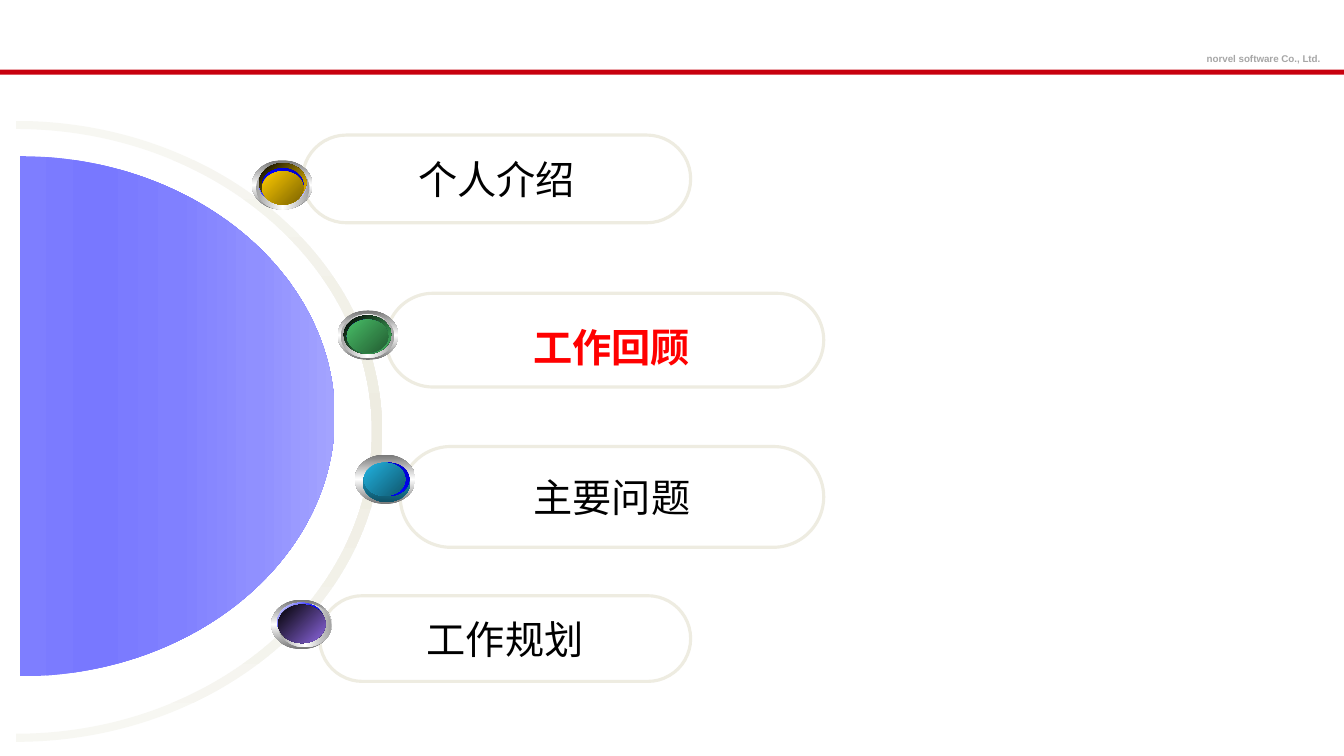
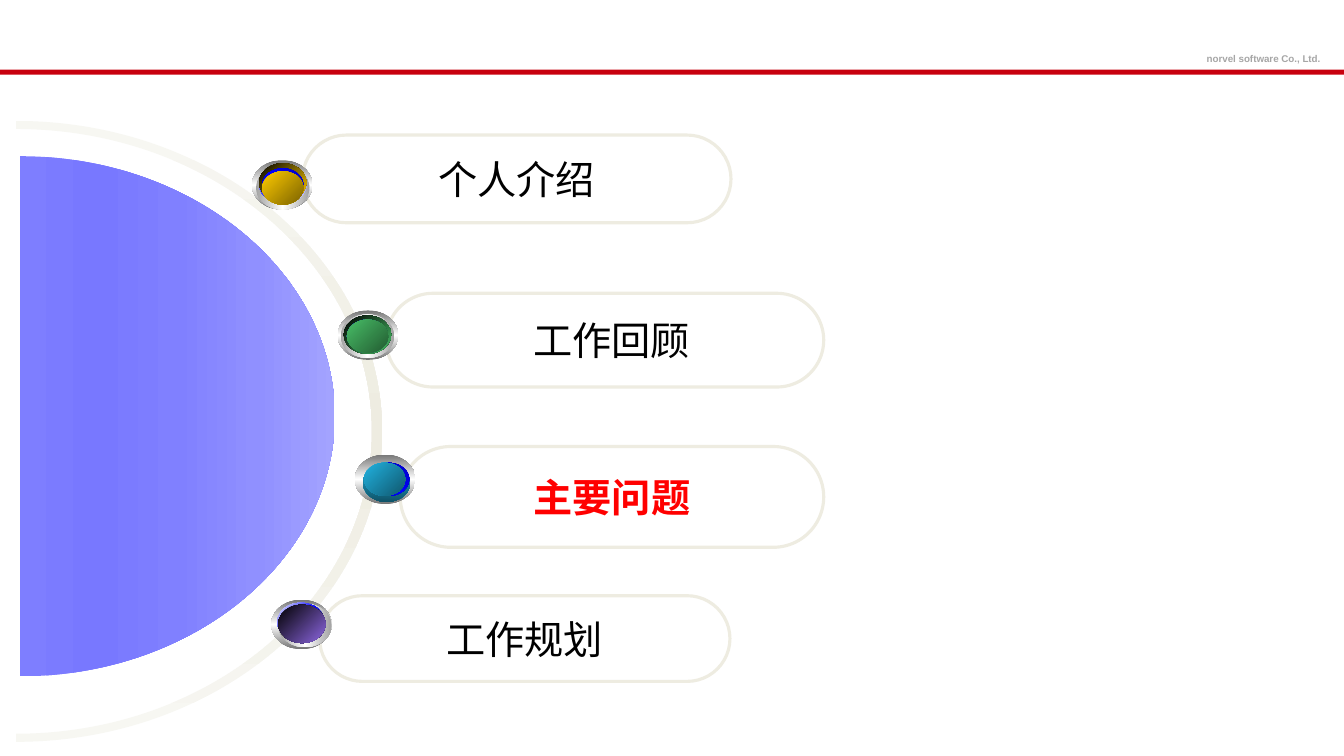
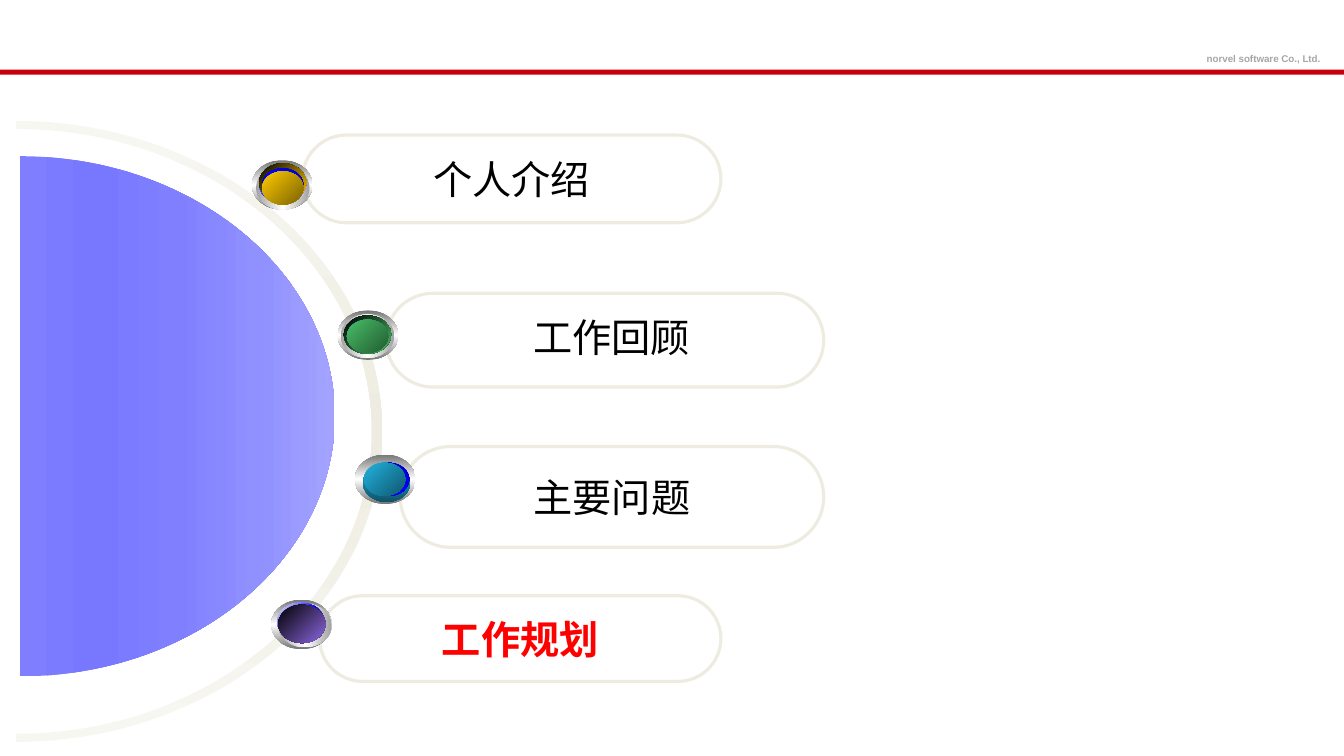
from lxml.etree import SubElement
from pptx import Presentation
from pptx.dml.color import RGBColor
from pptx.enum.shapes import MSO_SHAPE
from pptx.enum.text import MSO_ANCHOR, PP_ALIGN
from pptx.oxml.ns import qn
from pptx.util import Inches, Pt

RED, BLACK, HIGHLIGHT = "C8000E", "000000", "FF0000"
GREY, CREAM = "A6A6A6", "EEECE1"
TOPIC_FONT, FOOTER_FONT = "Noto Sans CJK SC", "Arial"
COMPANY = "norvel software Co., Ltd."
BEND = 0.55  # distance of curve handles, as a share of the radius

# Orb layer sizes
RIM_SIZE, BEVEL_SIZE = (0.6, 0.49), (0.53, 0.43)
BOWL_SIZE, LENS_SIZE = (0.47, 0.38), (0.41, 0.33)

# Orb layers: size, gradient colours, gradient angle
RIM = (RIM_SIZE, ["767676", "FFFFFF", "767676"], 90)
BEVEL = (BEVEL_SIZE, ["A2A2A2", "FFFFFF", "A2A2A2"], 0)
GLOW = (BOWL_SIZE, ["FFFFFF", "0000FF", "FFFFFF"], 45)
SHADE = (LENS_SIZE, ["0000C3", "0000FF", "0000C3"], 315)


def bowl(first, last, angle=45):
    return BOWL_SIZE, [first, last], angle


def lens(first, last):
    return LENS_SIZE, [first, last], 45


# Each orb is a list of (left, top, layer), from back to front
TOPICS = [
    {"text": "个人介绍", "pill": (3, 1.34, 0.87), "orb": [
        (2.5, 1.59, RIM), (2.54, 1.65, BEVEL), (2.57, 1.64, GLOW),
        (2.57, 1.62, bowl("000000", "FFCC00")), (2.6, 1.67, SHADE),
        (2.6, 1.7, lens("FFCC00", "7C6300"))]},
    {"text": "工作回顾", "pill": (3.83, 2.91, 0.93), "orb": [
        (3.35, 3.08, RIM), (3.38, 3.12, BEVEL),
        (3.41, 3.13, bowl("000000", "48BE67")), (3.44, 3.17, SHADE),
        (3.44, 3.17, lens("48BE67", "235C32"))]},
    {"text": "主要问题", "pill": (3.97, 4.43, 1), "orb": [
        (3.52, 4.51, RIM), (3.6, 4.6, bowl("21B3E1", "0F5368", 90)),
        (3.65, 4.59, SHADE), (3.61, 4.59, lens("21B3E1", "10576D"))]},
    {"text": "工作规划", "pill": (3.17, 5.91, 0.85), "orb": [
        (2.69, 5.95, RIM), (2.76, 5.99, BEVEL), (2.75, 5.98, GLOW),
        (2.76, 6, bowl("000000", "8D67E1"))]},
]

REVIEW = 1  # the topic whose label is a box of its own
AGENDAS = [
    {"current": 1, "pill_widths": (3.85, 4.34, 4.2, 3.68), "review_top": 3.16},
    {"current": 2, "pill_widths": (4.25, 4.34, 4.2, 4.07), "review_top": 3.09},
    {"current": 3, "pill_widths": (4.15, 4.34, 4.2, 3.98), "review_top": 3.06},
]


def color(value):
    return RGBColor.from_string(value)


def set_gradient(shape, colors, angle):
    """Spread the colours evenly along a line turned clockwise by angle."""
    shape.fill.gradient()
    gradient = shape.element.spPr.find(qn("a:gradFill"))
    stops = gradient.find(qn("a:gsLst"))
    for stop in list(stops):
        stops.remove(stop)
    for index, value in enumerate(colors):
        position = round(100000 * index / (len(colors) - 1))
        stop = SubElement(stops, qn("a:gs"), pos=str(position))
        SubElement(stop, qn("a:srgbClr"), val=value)
    gradient.find(qn("a:lin")).set("ang", str(angle * 60000))


def add_plain_shape(slide, kind, left, top, width, height):
    shape = slide.shapes.add_shape(
        kind, Inches(left), Inches(top), Inches(width), Inches(height))
    shape.shadow.inherit = False
    shape.line.fill.background()
    return shape


def add_text_box(slide, left, top, width, height):
    box = slide.shapes.add_textbox(
        Inches(left), Inches(top), Inches(width), Inches(height))
    box.text_frame.word_wrap = True
    return box


def write(shape, text, font_name, size, text_color, bold, align):
    paragraph = shape.text_frame.paragraphs[0]
    paragraph.text = text
    paragraph.alignment = align
    font = paragraph.font
    font.name, font.size, font.bold = font_name, Pt(size), bold
    font.color.rgb = color(text_color)
    properties = paragraph._p.pPr.find(qn("a:defRPr"))
    SubElement(properties, qn("a:ea"), typeface=font_name)


def half_ellipse(left, middle, radius_x, radius_y):
    """Ends and handles of two curves that bound a right half ellipse."""
    unit_points = [(0, -1), (BEND, -1), (1, -BEND), (1, 0),
                   (1, BEND), (BEND, 1), (0, 1)]
    return [(Inches(left + radius_x * x), Inches(middle + radius_y * y))
            for x, y in unit_points]


def add_curved_outline(slide, arcs, colors, angle):
    """Join half ellipses by straight lines into one closed outline."""
    points = [point for arc in arcs for point in arc]
    builder = slide.shapes.build_freeform(*points[0])
    builder.add_line_segments(points[1:], close=True)
    shape = builder.convert_to_shape()
    segments = list(shape.element.iter(qn("a:lnTo")))
    for arc_start in range(0, len(segments), 7):
        for start in (arc_start, arc_start + 3):
            curve, *others = segments[start:start + 3]
            curve.tag = qn("a:cubicBezTo")
            for other in others:
                curve.append(other[0])
                other.getparent().remove(other)
    shape.shadow.inherit = False
    shape.line.fill.background()
    set_gradient(shape, colors, angle)


def add_master_band(presentation, slide):
    """Make the red band and company name, then move them to the master."""
    band = add_plain_shape(slide, MSO_SHAPE.RECTANGLE, 0, 0.69, 13.33, 0.05)
    band.fill.solid()
    band.fill.fore_color.rgb = color(RED)
    company = add_text_box(slide, 11.87, 0.47, 1.46, 0.22)
    write(company, COMPANY, FOOTER_FONT, 7, GREY, True, PP_ALIGN.LEFT)
    for shape in (band, company):
        presentation.slide_master.shapes.element.append(shape.element)


def add_half_disc(slide):
    ring = [half_ellipse(0.16, 4.28, 3.63, 3.08),
            half_ellipse(0.16, 4.28, 3.53, 3)[::-1]]
    add_curved_outline(slide, ring, ["F7F7F2", CREAM, "F7F7F2"], 90)
    add_curved_outline(slide, [half_ellipse(0.2, 4.13, 3.12, 2.58)],
                       ["7E7EFF", "7878FF", "8080FF", "9090FF", "A3A3FF"], 0)


def add_topic(slide, topic, width):
    left, top, height = topic["pill"]
    pill = add_plain_shape(
        slide, MSO_SHAPE.ROUNDED_RECTANGLE, left, top, width, height)
    pill.adjustments[0] = 0.5
    pill.fill.background()
    pill.line.color.rgb = color(CREAM)
    pill.line.width = Pt(2.25)
    pill.text_frame.word_wrap = False
    pill.text_frame.vertical_anchor = MSO_ANCHOR.MIDDLE
    for layer_left, layer_top, (size, colors, angle) in topic["orb"]:
        layer = add_plain_shape(
            slide, MSO_SHAPE.OVAL, layer_left, layer_top, *size)
        set_gradient(layer, colors, angle)
    return pill


def add_agenda(slide, agenda):
    add_half_disc(slide)
    labels = [add_topic(slide, topic, width)
              for topic, width in zip(TOPICS, agenda["pill_widths"])]
    labels[REVIEW] = add_text_box(slide, 4.13, agenda["review_top"], 3.87, 0.57)
    for index, (label, topic) in enumerate(zip(labels, TOPICS)):
        current = index == agenda["current"]
        write(label, topic["text"], TOPIC_FONT, 28,
              HIGHLIGHT if current else BLACK, current, PP_ALIGN.CENTER)


def main():
    presentation = Presentation()
    presentation.slide_width = Inches(13.33)
    presentation.slide_height = Inches(7.5)
    blank = presentation.slide_layouts[6]
    slides = [presentation.slides.add_slide(blank) for _ in AGENDAS]
    add_master_band(presentation, slides[0])
    for slide, agenda in zip(slides, AGENDAS):
        add_agenda(slide, agenda)
    presentation.save("out.pptx")


if __name__ == "__main__":
    main()
